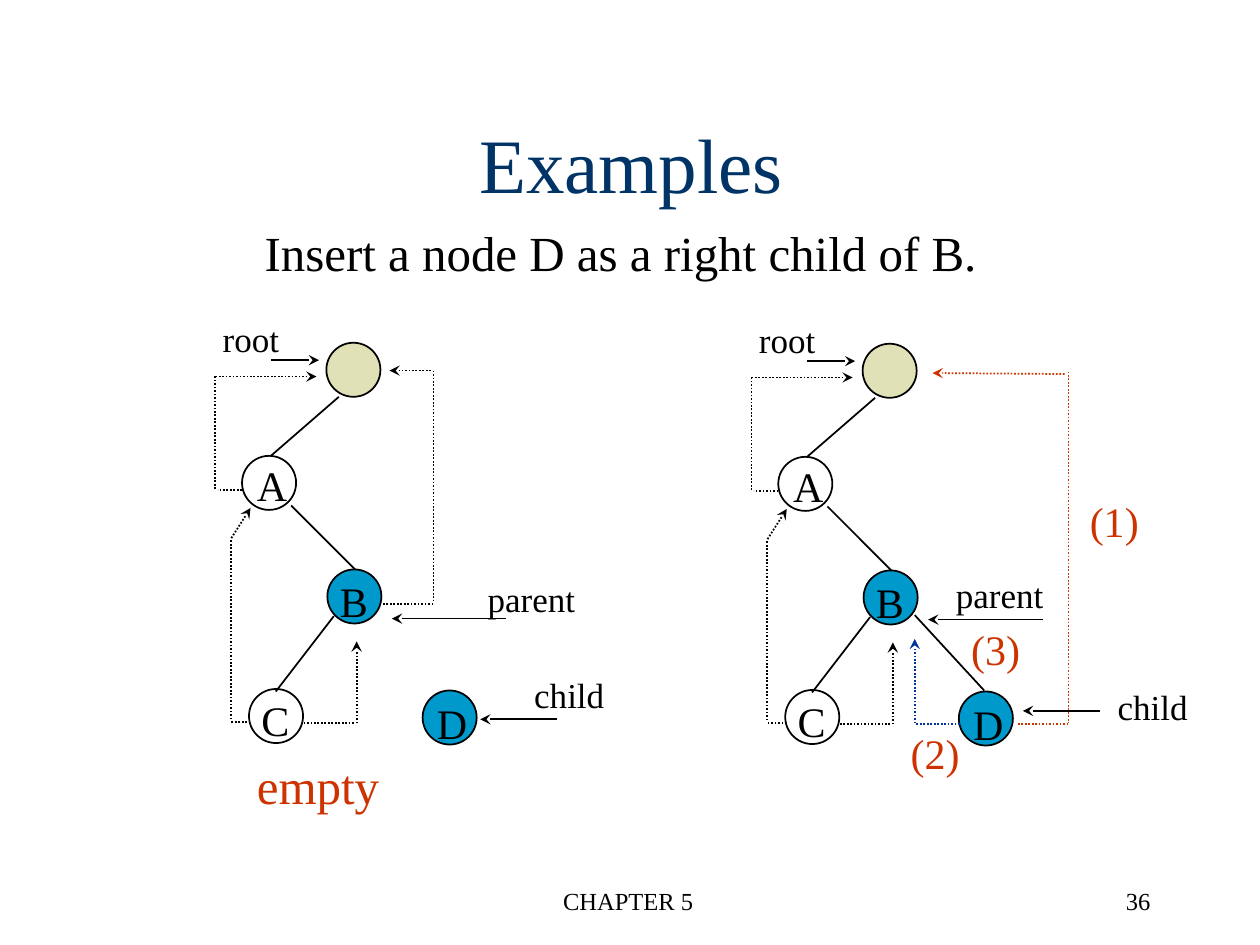
from lxml import etree
from pptx import Presentation
from pptx.dml.color import RGBColor
from pptx.enum.dml import MSO_LINE
from pptx.enum.shapes import MSO_CONNECTOR, MSO_SHAPE
from pptx.enum.text import MSO_ANCHOR, MSO_AUTO_SIZE, PP_ALIGN
from pptx.oxml.ns import qn
from pptx.util import Cm, Pt

BLACK = RGBColor(0x00, 0x00, 0x00)
NAVY = RGBColor(0x00, 0x33, 0x66)
BLUE = RGBColor(0x00, 0x33, 0x99)
RED = RGBColor(0xCC, 0x33, 0x00)
CYAN = RGBColor(0x00, 0x99, 0xCC)
SAND = RGBColor(0xE1, 0xE1, 0xB7)
LEFT, MID, RIGHT = PP_ALIGN.LEFT, PP_ALIGN.CENTER, PP_ALIGN.RIGHT
DOT = MSO_LINE.ROUND_DOT
HEAD, TAIL = "a:headEnd", "a:tailEnd"
SIZE = 1.09


class Canvas:
    """Draws styled elements on one slide, with lengths in centimetres."""

    def __init__(self, slide, font="Times New Roman"):
        self.shapes = slide.shapes
        self.font = font
        self.dx = self.dy = 0

    def shift(self, dx, dy):
        self.dx, self.dy = dx, dy

    def point(self, x, y):
        return Cm(x + self.dx), Cm(y + self.dy)

    def text(self, words, x, y, wide, high, size, color=BLACK, align=LEFT,
             wrap=False, anchor=MSO_ANCHOR.TOP, before=0):
        box = self.shapes.add_textbox(*self.point(x, y), Cm(wide), Cm(high))
        frame = box.text_frame
        frame.text = words
        frame.word_wrap = wrap
        frame.auto_size = MSO_AUTO_SIZE.NONE if wrap else MSO_AUTO_SIZE.SHAPE_TO_FIT_TEXT
        frame.vertical_anchor = anchor
        para = frame.paragraphs[0]
        para.alignment = align
        para.space_before = Pt(before)
        font = para.runs[0].font
        font.name, font.size, font.color.rgb = self.font, Pt(size), color

    def node(self, x, y, fill=None):
        ring = self.shapes.add_shape(MSO_SHAPE.OVAL, *self.point(x, y), Cm(SIZE), Cm(SIZE))
        ring.shadow.inherit = False
        if fill is None:
            ring.fill.background()
        else:
            ring.fill.solid()
            ring.fill.fore_color.rgb = fill
        ring.line.color.rgb = BLACK
        ring.line.width = Pt(1)

    def line(self, x1, y1, x2, y2, tip=None, dash=None, color=BLACK):
        link = self.shapes.add_connector(
            MSO_CONNECTOR.STRAIGHT, *self.point(x1, y1), *self.point(x2, y2))
        link.line.color.rgb = color
        link.line.width = Pt(1)
        if dash is not None:
            link.line.dash_style = dash
        props = link._element.spPr
        if tip:
            etree.SubElement(props.find(qn("a:ln")), qn(tip), type="stealth")
        etree.SubElement(props, qn("a:effectLst"))

    def thread(self, legs, color=BLACK):
        for leg in legs:
            self.line(*leg, dash=DOT, color=color)


NODES = [(6.58, 6.91, SAND), (4.88, 9.19, None), (6.6, 11.48, CYAN),
         (5.02, 13.89, None), (8.52, 13.92, CYAN)]
NAMES = [("A", 4.93, 9.14, 1.12), ("B", 6.6, 11.48, 1.07),
         ("C", 5.02, 13.87, 1.07), ("D", 8.56, 13.94, 1.12)]
EDGES = [(6.83, 8, 5.46, 9.19), (5.87, 10.19, 7.16, 11.48), (6.73, 12.42, 5.56, 13.94)]
THREADS = [
    (6.12, 14.58, 7.14, 14.58), (7.19, 14.58, 7.19, 12.93, TAIL),
    (4.98, 14.55, 4.65, 14.55), (4.65, 14.5, 4.65, 10.87), (5.05, 10.24, 4.65, 10.87, HEAD),
    (4.88, 9.88, 4.39, 9.88), (4.34, 9.86, 4.34, 7.57), (4.34, 7.59, 6.38, 7.59, TAIL),
]


def tree(art):
    for node in NODES:
        art.node(*node)
    for edge in EDGES:
        art.line(*edge)
    art.thread(THREADS)
    art.line(5.46, 7.26, 6.43, 7.26, TAIL)
    art.text("root", 4.24, 6.27, 1.65, SIZE, 20)
    art.line(7.9, 12.47, 10.21, 12.47, HEAD)
    for name, x, y, wide in NAMES:
        art.text(name, x, y, wide, 1.27, 24)


deck = Presentation()
deck.slide_width, deck.slide_height = Cm(25.4), Cm(19.05)
art = Canvas(deck.slides.add_slide(deck.slide_layouts[6]))

art.text("CHAPTER 5", 8.64, 17.73, 8.05, 1.27, 14, align=MID, wrap=True, before=8.8)
art.text("36", 18.16, 17.73, 5.28, 1.27, 14, align=RIGHT, wrap=True, before=8.8)
art.text("Examples", 0, 1.7, 25.45, 3.18, 44, NAVY, MID, True, MSO_ANCHOR.MIDDLE)
art.text("Insert a node D as a right child of B.", 5.08, 4.37, 14.86, 1.45, 28, align=MID)

tree(art)
art.thread([(7.72, 12.17, 8.71, 12.17), (8.74, 7.47, 8.74, 12.14),
            (8.69, 7.47, 7.85, 7.47, TAIL)])
art.line(9.68, 14.5, 11.23, 14.5, HEAD)
art.text("empty", 4.93, 15.11, 2.97, 1.45, 28, RED)

art.shift(10.81, 0.02)
tree(art)
art.shift(0, 0)
art.thread([(20.52, 14.6, 21.51, 14.6), (21.54, 7.49, 21.54, 14.58),
            (21.46, 7.54, 18.8, 7.52, TAIL)], RED)
art.thread([(19.35, 14.6, 18.47, 14.6), (18.44, 14.58, 18.44, 12.88, TAIL)], BLUE)
art.line(18.44, 12.4, 19.84, 13.92)
art.line(20.62, 14.33, 22.17, 14.33, HEAD)

for word, x, y, wide in [("parent", 9.58, 11.51, 2.29), ("child", 10.52, 13.46, 1.93),
                         ("parent", 19.02, 11.43, 2.29), ("child", 22.28, 13.69, 1.93)]:
    art.text(word, x, y, wide, SIZE, 20)
for step, x, y in [("(1)", 21.72, 9.86), ("(2)", 18.11, 14.55), ("(3)", 19.33, 12.45)]:
    art.text(step, x, y, 1.5, 1.27, 24, RED)

deck.save("out.pptx")
